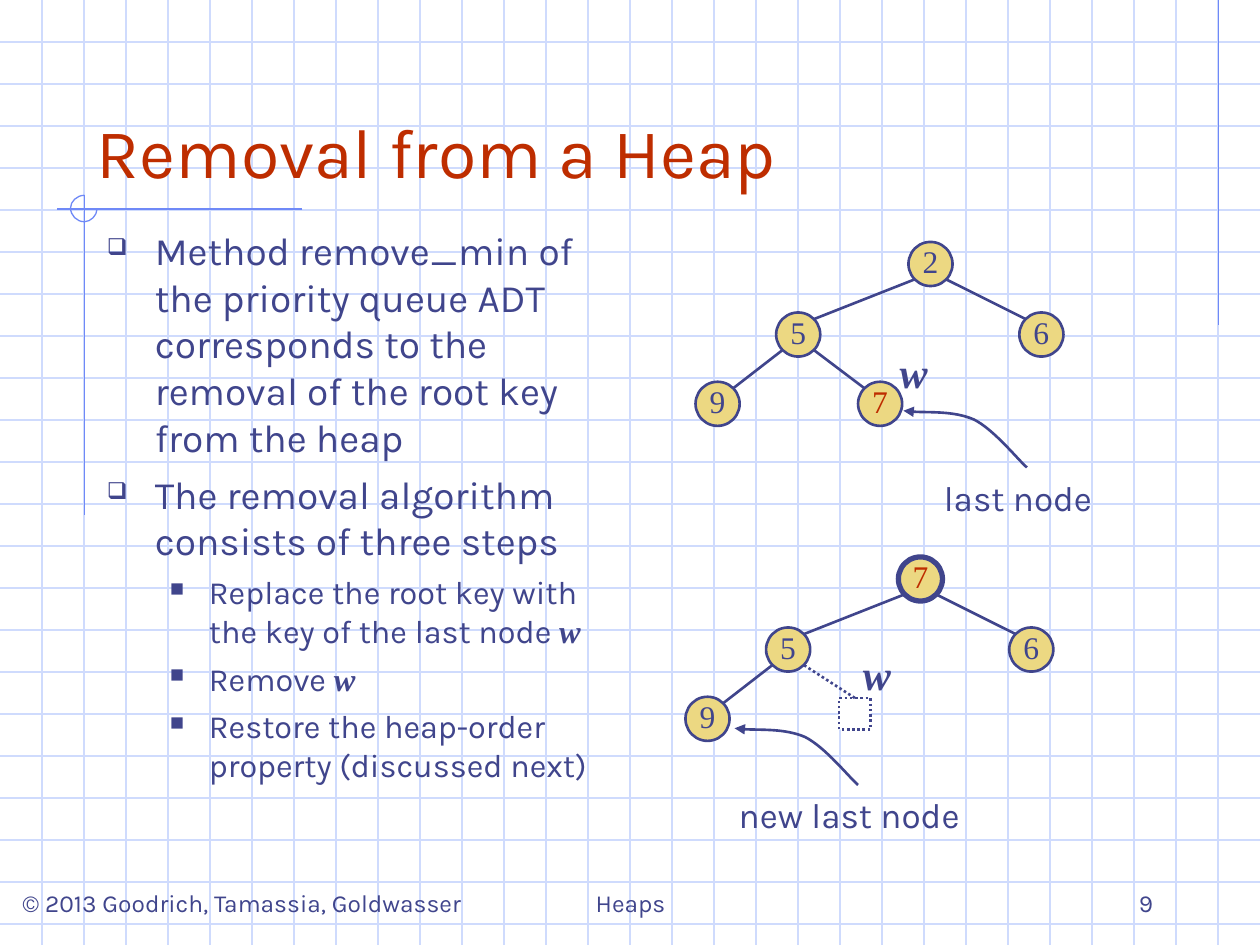
from dataclasses import dataclass

from lxml.etree import SubElement
from pptx import Presentation
from pptx.dml.color import RGBColor as RGB
from pptx.enum.dml import MSO_LINE as Dash
from pptx.enum.shapes import MSO_CONNECTOR as Conn, MSO_SHAPE as Shape
from pptx.enum.text import MSO_ANCHOR as Anchor, MSO_AUTO_SIZE as Auto, PP_ALIGN as Align
from pptx.oxml.ns import qn
from pptx.util import Inches, Pt


@dataclass(frozen=True)
class Theme:
    ink: str = "40458C"
    red: str = "BE2D00"
    gold: str = "ECD882"
    grid: str = "CFDBFD"
    trim: str = "6F89F7"
    white: str = "FFFFFF"
    sans: str = "Karla"
    serif: str = "Times New Roman"
    title: float = 40
    body: float = 22.2
    sub: float = 18.5
    key: float = 18
    label: float = 20
    mark: float = 24
    foot: float = 14
    thin: float = 0.75
    line: float = 1.5
    bold: float = 3


T = Theme()


@dataclass(frozen=True)
class Node:
    key: str
    x: float
    y: float
    color: str = T.ink
    width: float = T.line


@dataclass(frozen=True)
class Label:
    text: str
    box: tuple[float, float, float, float]
    size: float
    align: Align = Align.LEFT
    anchor: Anchor = Anchor.TOP
    wrap: bool = True
    color: str = T.ink
    math: bool = False


@dataclass(frozen=True)
class Item:
    text: str
    level: int = 0
    var: str = ""


SIZE = 0.35
HALF = SIZE / 2
REACH = 0.12  # from a node's centre to where its edges start
CELL = 1 / 3
SHIFT = (-0.08, 2.5)  # from the first tree to the second

ROOT = Node("2", 7.21, 1.92)
LEFT = Node("5", 6.16, 2.48)
RIGHT = Node("6", 8.09, 2.48)
LOW = Node("9", 5.52, 3.03)
LAST = Node("7", 6.81, 3.03, T.red)

ITEMS = [
    Item("Method remove_min of the priority queue ADT corresponds to the "
         "removal of the root key from the heap"),
    Item("The removal algorithm consists of three steps"),
    Item("Replace the root key with the key of the last node ", 1, "w"),
    Item("Remove ", 1, "w"),
    Item("Restore the heap-order property (discussed next)", 1),
]

MID = dict(align=Align.CENTER, wrap=False)
FOOT = dict(size=T.foot, anchor=Anchor.BOTTOM)
LABELS = [
    Label("Removal from a Heap", (0.67, 0.33, 8.75, 1.25), T.title,
          anchor=Anchor.BOTTOM, color=T.red),
    Label("last node", (7.38, 3.73, 1.4, 0.44), T.label, **MID),
    Label("new last node", (5.73, 6.25, 2.02, 0.44), T.label, **MID),
    Label("w", (7.04, 2.7, 0.42, 0.5), T.mark, math=True, **MID),
    Label("w", (6.75, 5.1, 0.42, 0.5), T.mark, math=True, **MID),
    Label("© 2013 Goodrich, Tamassia, Goldwasser", (0.08, 6.83, 4.08, 0.5), **FOOT),
    Label("Heaps", (3.42, 6.83, 3.17, 0.5), align=Align.CENTER, **FOOT),
    Label("9", (7.17, 6.83, 2.08, 0.5), align=Align.RIGHT, **FOOT),
]

RING = [(0.67, 1.55), (0.61, 1.55), (0.56, 1.6), (0.56, 1.65), (0.56, 1.71),
        (0.61, 1.76), (0.67, 1.76), (0.72, 1.76), (0.77, 1.71), (0.77, 1.66)]
ARROW = [(8.15, 3.71), (8.08, 3.65), (7.89, 3.41), (7.73, 3.33),
         (7.57, 3.26), (7.28, 3.28), (7.17, 3.26)]


def put(obj, **vals) -> None:
    for name, val in vals.items():
        setattr(obj, name, val)


def paint(line, color: str, width: float, dash: Dash | None = None) -> None:
    line.color.rgb = RGB.from_string(color)
    put(line, width=Pt(width), dash_style=dash)


def write(para, text: str, size: float, color: str = T.ink,
          face: str = T.sans, slant: bool = False) -> None:
    run = para.add_run()
    run.text = text
    put(run.font, name=face, size=Pt(size), bold=slant, italic=slant)
    run.font.color.rgb = RGB.from_string(color)


def rule(shapes, start: tuple, end: tuple, color: str, width: float, dash: Dash | None = None):
    link = shapes.add_connector(Conn.STRAIGHT, *map(Inches, (*start, *end)))
    paint(link.line, color, width, dash)
    SubElement(link._element.spPr, qn("a:effectLst"))
    return link


def curve(shapes, pts: list, color: str, width: float, arrow: bool = False) -> None:
    """Draw a Bézier chain: a start, then two handles and an end per segment."""
    spots = [(Inches(x), Inches(y)) for x, y in pts]
    pen = shapes.build_freeform(*spots[0])
    pen.add_line_segments(spots[1:], close=False)
    shape = pen.convert_to_shape()
    shape.shadow.inherit = False
    shape.fill.background()
    paint(shape.line, color, width)
    track = shape._element.spPr.find(".//" + qn("a:path"))
    steps = track.findall(qn("a:lnTo"))
    for i in range(0, len(steps), 3):
        bend = SubElement(track, qn("a:cubicBezTo"))
        for step in steps[i:i + 3]:
            bend.append(step[0])
            track.remove(step)
    if arrow:
        SubElement(shape.line._get_or_add_ln(), qn("a:tailEnd"), type="triangle")


def solid(shapes, kind: Shape, box: tuple, fill: str, width: float, dash: Dash | None = None):
    shape = shapes.add_shape(kind, *map(Inches, box))
    shape.shadow.inherit = False
    shape.fill.solid()
    shape.fill.fore_color.rgb = RGB.from_string(fill)
    paint(shape.line, T.ink, width, dash)
    return shape


def draw(shapes, node: Node) -> None:
    shape = solid(shapes, Shape.OVAL, (node.x, node.y, SIZE, SIZE), T.gold, node.width)
    frame = shape.text_frame
    put(frame, margin_left=0, margin_right=0, margin_top=0, margin_bottom=Inches(0.05),
        word_wrap=False, vertical_anchor=Anchor.MIDDLE)
    para = frame.paragraphs[0]
    para.alignment = Align.CENTER
    write(para, node.key, T.key, node.color, T.serif)


def edge(shapes, top: Node, low: Node, dash: Dash | None = None):
    side = REACH if low.x > top.x else -REACH
    start = (low.x + HALF - side, low.y + HALF - REACH)
    end = (top.x + HALF + side, top.y + HALF + REACH)
    return rule(shapes, start, end, T.ink, T.line, dash)


def moved(node: Node, **vals) -> Node:
    """Place a node of the first tree in the second."""
    spot = dict(key=node.key, x=node.x + SHIFT[0], y=node.y + SHIFT[1])
    return Node(**(spot | vals))


def tag(shapes, label: Label) -> None:
    frame = shapes.add_textbox(*map(Inches, label.box)).text_frame
    put(frame, word_wrap=label.wrap, vertical_anchor=label.anchor,
        auto_size=Auto.NONE if label.wrap else Auto.SHAPE_TO_FIT_TEXT)
    para = frame.paragraphs[0]
    para.alignment = label.align
    face = T.serif if label.math else T.sans
    write(para, label.text, label.size, label.color, face, label.math)


def outline(shapes) -> None:
    frame = shapes.add_textbox(*map(Inches, (0.75, 1.75, 4.25, 5))).text_frame
    frame.word_wrap = True
    for i, item in enumerate(ITEMS):
        para = frame.add_paragraph() if i else frame.paragraphs[0]
        left, hang, gap, sign, size = (
            (0.81, -0.31, 5, "■", T.sub) if item.level else (0.38, -0.38, 6, "❑", T.body))
        props = para._p.get_or_add_pPr()
        props.set("marL", str(Inches(left)))
        props.set("indent", str(Inches(hang)))
        SubElement(SubElement(props, qn("a:buClr")), qn("a:srgbClr"), val=T.ink)
        SubElement(props, qn("a:buSzPct"), val="60000")
        SubElement(props, qn("a:buChar"), char=sign)
        put(para, level=item.level, space_before=Pt(gap if i else 0))
        write(para, item.text, size)
        if item.var:
            write(para, item.var, size, face=T.serif, slant=True)


def backdrop(shapes) -> None:
    for i in range(1, 23):
        rule(shapes, (0, i * CELL), (10, i * CELL), T.grid, T.thin)
    for i in range(1, 30):
        rule(shapes, (i * CELL, 0), (i * CELL, 7.5), T.grid, T.thin)
    for start, end in [((9.67, 0), (9.67, 2.58)), ((2.4, 1.66), (0.45, 1.66)),
                       ((0.67, 1.55), (0.67, 4.09))]:
        rule(shapes, start, end, T.trim, T.thin)
    curve(shapes, RING, T.trim, T.thin)


def trees(shapes) -> None:
    root = moved(ROOT, key="7", color=T.red, width=T.bold)
    left, right, low = map(moved, (LEFT, RIGHT, LOW))
    for node in (ROOT, LEFT, RIGHT, LOW, LAST, root, left, right, low):
        draw(shapes, node)
    for top, kid in [(ROOT, LEFT), (ROOT, RIGHT), (LEFT, LOW), (LEFT, LAST),
                     (root, left), (root, right), (left, low)]:
        edge(shapes, top, kid)
    gone = solid(shapes, Shape.RECTANGLE, (6.66, 5.54, 0.25, 0.25), T.white, T.line, Dash.ROUND_DOT)
    edge(shapes, left, moved(LAST), Dash.ROUND_DOT).begin_connect(gone, 0)
    for dx, dy in [(0, 0), (-1.34, 2.52)]:
        curve(shapes, [(x + dx, y + dy) for x, y in ARROW], T.ink, T.line, arrow=True)


def main() -> None:
    deck = Presentation()
    put(deck, slide_width=Inches(10), slide_height=Inches(7.5))
    shapes = deck.slides.add_slide(deck.slide_layouts[6]).shapes
    backdrop(shapes)
    outline(shapes)
    trees(shapes)
    for label in LABELS:
        tag(shapes, label)
    deck.save("out.pptx")


if __name__ == "__main__":
    main()
